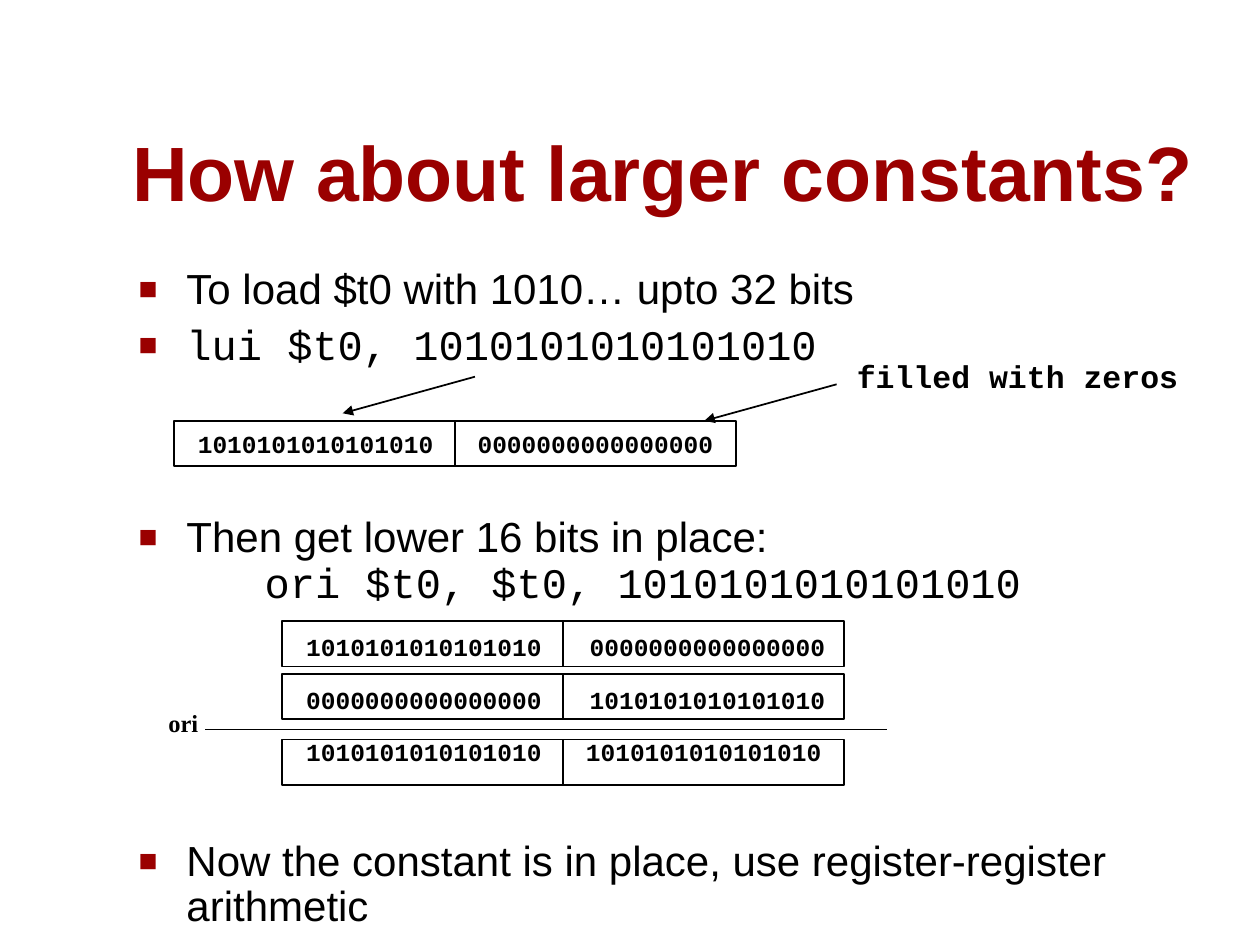
from lxml import etree
from pptx import Presentation
from pptx import util as u
from pptx.dml.color import RGBColor
from pptx.enum import shapes, text
from pptx.oxml.ns import qn

Inches, Pt = u.Inches, u.Pt
COLORS = {"black": "000000", "red": "9A0000"}
HIGH, ZEROS = "1010101010101010", "0000000000000000"

presentation = Presentation()
presentation.slide_width, presentation.slide_height = Inches(10), Inches(7.5)
slide = presentation.slides.add_slide(presentation.slide_layouts[1])


def add_run(paragraph, words, size, font, color="black", bold=False):
    run = paragraph.add_run()
    run.text = words
    run.font.size, run.font.name, run.font.bold = Pt(size), font, bold
    run.font.color.rgb = RGBColor.from_string(COLORS[color])


def add_label(words, left, top, width, height, size, spacing,
              font="Courier New", align=text.PP_ALIGN.LEFT):
    box = slide.shapes.add_textbox(Inches(left), Inches(top), Inches(width), Inches(height))
    frame = box.text_frame
    frame.word_wrap = False
    frame.margin_left = frame.margin_right = Inches(0.02)
    frame.margin_top = frame.margin_bottom = Inches(0.03)
    paragraph = frame.paragraphs[0]
    paragraph.alignment = align
    paragraph.line_spacing = Pt(spacing)
    add_run(paragraph, words, size, font, bold=True)


# Title
title = slide.shapes.title
title.left, title.top, title.width, title.height = map(Inches, (0.95, 0.94, 8.93, 0.83))
title.text_frame.vertical_anchor = text.MSO_ANCHOR.MIDDLE
title.text_frame.auto_size = text.MSO_AUTO_SIZE.NONE
heading = title.text_frame.paragraphs[0]
heading.alignment = text.PP_ALIGN.LEFT
add_run(heading, "How about larger constants?", 44, "Arial", "red", True)

# Bullet list: space before, then lines of (words, font)
bullets = [
    (0, [("To load $t0 with 1010… upto 32 bits", "Arial")]),
    (6, [("lui $t0, " + HIGH, "Courier New")]),
    (84, [("Then get lower 16 bits in place:", "Arial"),
          ("\tori $t0, $t0, " + HIGH, "Courier New")]),
    (133, [("Now the constant is in place, use register-register arithmetic", "Arial")]),
]
body = slide.placeholders[1]
body.left, body.top, body.width, body.height = map(Inches, (1, 2.08, 9, 5.42))
frame = body.text_frame
frame.auto_size = text.MSO_AUTO_SIZE.NONE
for index, (space, lines) in enumerate(bullets):
    paragraph = frame.add_paragraph() if index else frame.paragraphs[0]
    paragraph.line_spacing, paragraph.space_before = 0.9, Pt(space)
    properties = paragraph._p.get_or_add_pPr()
    properties.set("marL", str(Inches(0.38)))
    properties.set("indent", str(Inches(-0.38)))
    bullet_color = etree.SubElement(properties, qn("a:buClr"))
    etree.SubElement(bullet_color, qn("a:srgbClr"), val=COLORS["red"])
    etree.SubElement(properties, qn("a:buSzPct"), val="75000")
    etree.SubElement(properties, qn("a:buFont"), typeface="Arial")
    etree.SubElement(properties, qn("a:buChar"), char="■")
    tabs = etree.SubElement(properties, qn("a:tabLst"))
    for position in range(1, 9):
        etree.SubElement(tabs, qn("a:tab"), pos=str(Inches(position)), algn="l")
    for number, (words, font) in enumerate(lines):
        if number:
            paragraph.add_line_break()
        add_run(paragraph, words, 24, font)

# Registers: left, top, text top, then (bits, text left) for each half
HALF_WIDTH = 2.23
registers = [
    (1.38, 3.34, 3.32, [(HIGH, 1.55), (ZEROS, 3.77)]),
    (2.24, 4.93, 4.93, [(HIGH, 2.41), (ZEROS, 4.66)]),
    (2.24, 5.35, 5.35, [(ZEROS, 2.41), (HIGH, 4.66)]),
    (2.24, 5.87, 5.76, [(HIGH, 2.41), (HIGH, 4.63)]),
]
for left, top, text_top, halves in registers:
    for column, (bits, text_left) in enumerate(halves):
        half = slide.shapes.add_shape(
            shapes.MSO_SHAPE.RECTANGLE, Inches(left + column * HALF_WIDTH), Inches(top),
            Inches(HALF_WIDTH), Inches(0.36))
        half.shadow.inherit = False
        half.fill.background()
        half.line.color.rgb = RGBColor.from_string(COLORS["black"])
        half.line.width = Pt(1)
        add_label(bits, text_left, text_top, 2.22, 0.59, 14, 21)

# Arrows to the register halves and the sum line
for x1, y1, x2, y2, arrow in [(3.77, 2.99, 2.72, 3.28, True),
                              (6.64, 3.05, 5.59, 3.34, True),
                              (1.63, 5.79, 7.04, 5.79, False)]:
    connector = slide.shapes.add_connector(
        shapes.MSO_CONNECTOR.STRAIGHT, Inches(x1), Inches(y1), Inches(x2), Inches(y2))
    connector.line.color.rgb = RGBColor.from_string(COLORS["black"])
    connector.line.width = Pt(1)
    if arrow:
        etree.SubElement(connector.line._get_or_add_ln(), qn("a:tailEnd"), type="triangle")
    etree.SubElement(connector._element.spPr, qn("a:effectLst"))

# Annotations
add_label("filled with zeros", 6.78, 2.73, 3.97, 0.67, 18, 27)
add_label("ori", 0.83, 5.6, 1.25, 0.36, 14, 16, "Times New Roman", text.PP_ALIGN.CENTER)

presentation.save("out.pptx")
